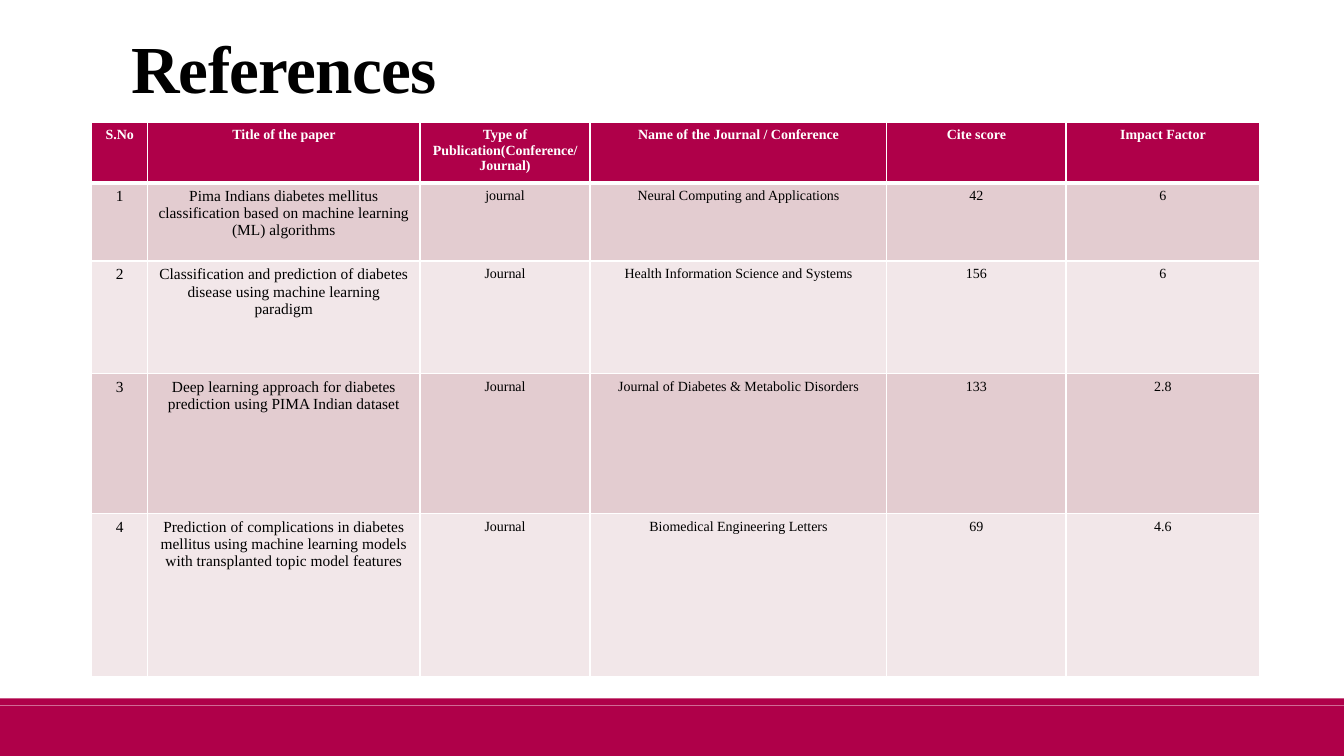
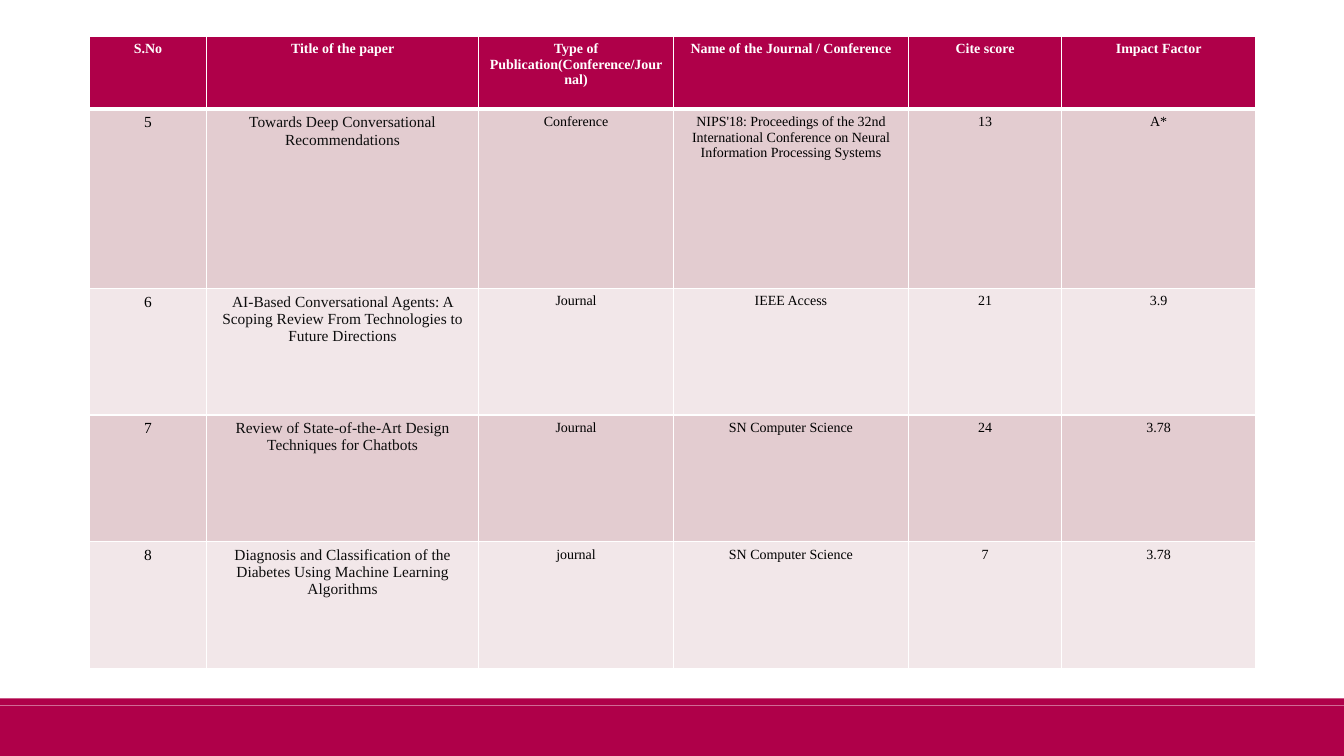
from lxml import etree
from pptx import Presentation
from pptx.dml.color import RGBColor
from pptx.enum.shapes import MSO_SHAPE
from pptx.enum.text import MSO_ANCHOR, PP_ALIGN
from pptx.oxml.ns import qn
from pptx.util import Pt

RECTANGLE = MSO_SHAPE.RECTANGLE
BOTTOM = MSO_ANCHOR.BOTTOM
LEFT, CENTER = PP_ALIGN.LEFT, PP_ALIGN.CENTER

SLIDE_WIDTH, SLIDE_HEIGHT = 960, 540
TITLE_ONLY, BLANK = 5, 6
FONT = "Times New Roman"
COLORS = {
    "crimson": "AF0049",
    "rose": "E3CCD0",
    "blush": "F2E7E9",
    "white": "FFFFFF",
    "black": "000000",
    "soft_black": "0D0D0D",
}
# Top and height of the thin and the thick footer band
FOOTER_BANDS = [(498.76, 5.2), (504, 36)]

HEADINGS = [
    "S.No",
    "Title of the paper",
    "Type of Publication(Conference/Journal)",
    "Name of the Journal / Conference",
    "Cite score",
    "Impact Factor",
]
FIRST_PAPERS = [
    ["1", "Pima Indians diabetes mellitus classification based on machine learning (ML) algorithms",
     "journal", "Neural Computing and Applications", "42", "6"],
    ["2", "Classification and prediction of diabetes disease using machine learning paradigm",
     "Journal", "Health Information Science and Systems", "156", "6"],
    ["3", "Deep learning approach for diabetes prediction using PIMA Indian dataset",
     "Journal", "Journal of Diabetes & Metabolic Disorders", "133", "2.8"],
    ["4", "Prediction of complications in diabetes mellitus using machine learning models "
          "with transplanted topic model features",
     "Journal", "Biomedical Engineering Letters", "69", "4.6"],
]
MORE_PAPERS = [
    ["5", "Towards Deep Conversational Recommendations", "Conference",
     "NIPS'18: Proceedings of the 32nd International Conference on Neural "
     "Information Processing Systems", "13", "A*"],
    ["6", "AI-Based Conversational Agents: A Scoping Review From Technologies to Future Directions",
     "Journal", "IEEE Access", "21", "3.9"],
    ["7", "Review of State‑of‑the‑Art Design Techniques for Chatbots",
     "Journal", "SN Computer Science", "24", "3.78"],
    ["8", "Diagnosis and Classification of the Diabetes Using Machine Learning Algorithms",
     "journal", "SN Computer Science", "7", "3.78"],
]


def rgb(name):
    return RGBColor.from_string(COLORS[name])


def style_font(font, size, color, bold=False):
    font.name = FONT
    font.size = Pt(size)
    font.bold = bold
    font.color.rgb = rgb(color)


def add_slide(prs, layout):
    """Add a slide with the shared footer bands."""
    slide = prs.slides.add_slide(prs.slide_layouts[layout])
    for top, height in FOOTER_BANDS:
        band = slide.shapes.add_shape(RECTANGLE, 0, Pt(top), Pt(SLIDE_WIDTH), Pt(height))
        band.shadow.inherit = False
        band.fill.solid()
        band.fill.fore_color.rgb = rgb("crimson")
        band.line.fill.background()
    return slide


def set_title(slide, text):
    title = slide.shapes.title
    title.left, title.top, title.width, title.height = Pt(86.5), Pt(17), Pt(792), Pt(63.5)
    frame = title.text_frame
    frame.text = text
    frame.word_wrap = True
    frame.vertical_anchor = BOTTOM
    heading = frame.paragraphs[0]
    heading.alignment = LEFT
    heading.line_spacing = 0.85
    run = heading.runs[0]
    style_font(run.font, 48, "black", bold=True)
    run.font._element.set("spc", "-50")  # tighter letters


def set_borders(cell, top, bottom):
    """Draw white cell borders; left and right are 1 pt wide."""
    properties = cell._tc.get_or_add_tcPr()
    for side, width in (("L", 1), ("R", 1), ("T", top), ("B", bottom)):
        border = etree.SubElement(properties, qn(f"a:ln{side}"), w=str(Pt(width)))
        fill = etree.SubElement(border, qn("a:solidFill"))
        etree.SubElement(fill, qn("a:srgbClr"), val=COLORS["white"])


def fill_cell(cell, text, fill, size, color, bold):
    cell.fill.solid()
    cell.fill.fore_color.rgb = rgb(fill)
    cell.text_frame.text = text
    paragraph = cell.text_frame.paragraphs[0]
    paragraph.alignment = CENTER
    style_font(paragraph.runs[0].font, size, color, bold)


def add_paper_table(slide, left, top, widths, heights, papers, title_color="black"):
    rows = [HEADINGS] + papers
    table = slide.shapes.add_table(
        len(rows), len(HEADINGS), Pt(left), Pt(top), Pt(sum(widths)), Pt(sum(heights))
    ).table
    for column, width in zip(table.columns, widths):
        column.width = Pt(width)
    for row, height in zip(table.rows, heights):
        row.height = Pt(height)

    for r, texts in enumerate(rows):
        is_header = r == 0
        fill = "crimson" if is_header else ("blush", "rose")[r % 2]
        for c, text in enumerate(texts):
            cell = table.cell(r, c)
            # The rule below the header is thicker
            set_borders(cell, top=3 if r == 1 else 1, bottom=3 if is_header else 1)
            # Numbers and paper titles are slightly larger
            size = 11 if not is_header and c < 2 else 10
            color = "white" if is_header else title_color if c == 1 else "black"
            fill_cell(cell, text, fill, size, color, is_header)


def main():
    prs = Presentation()
    prs.slide_width, prs.slide_height = Pt(SLIDE_WIDTH), Pt(SLIDE_HEIGHT)

    # Papers 1 to 4
    references = add_slide(prs, TITLE_ONLY)
    set_title(references, "References")
    add_paper_table(
        references, 65.5, 87.5,
        [40, 194.5, 121.5, 212, 128, 138.5],
        [43, 56, 80.5, 100, 116.5],
        FIRST_PAPERS,
    )

    # Papers 5 to 8
    continued = add_slide(prs, BLANK)
    add_paper_table(
        continued, 64, 26,
        [83.5, 194.5, 139, 168, 109.5, 138.5],
        [52, 128, 90.5, 90.5, 90.5],
        MORE_PAPERS, title_color="soft_black",
    )
    prs.save("out.pptx")


if __name__ == "__main__":
    main()
